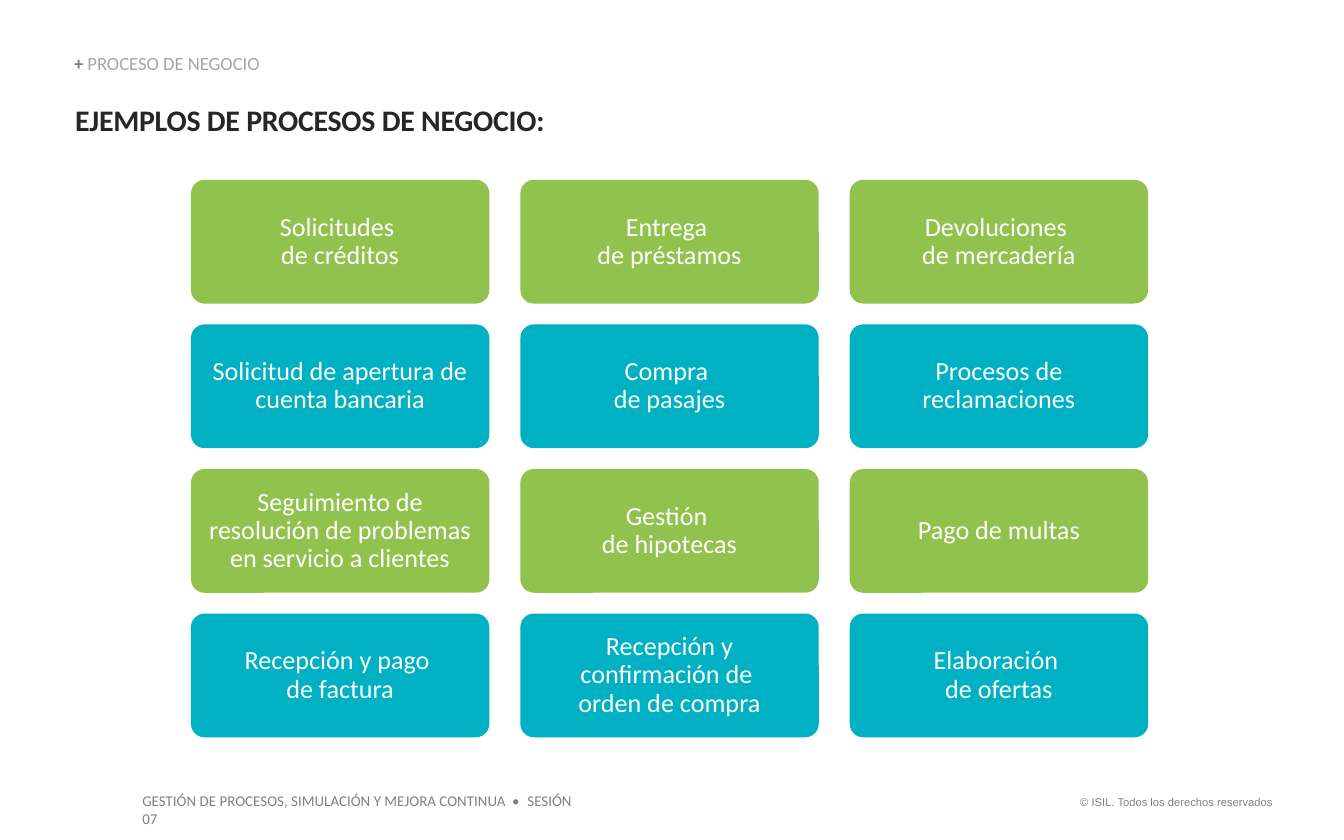
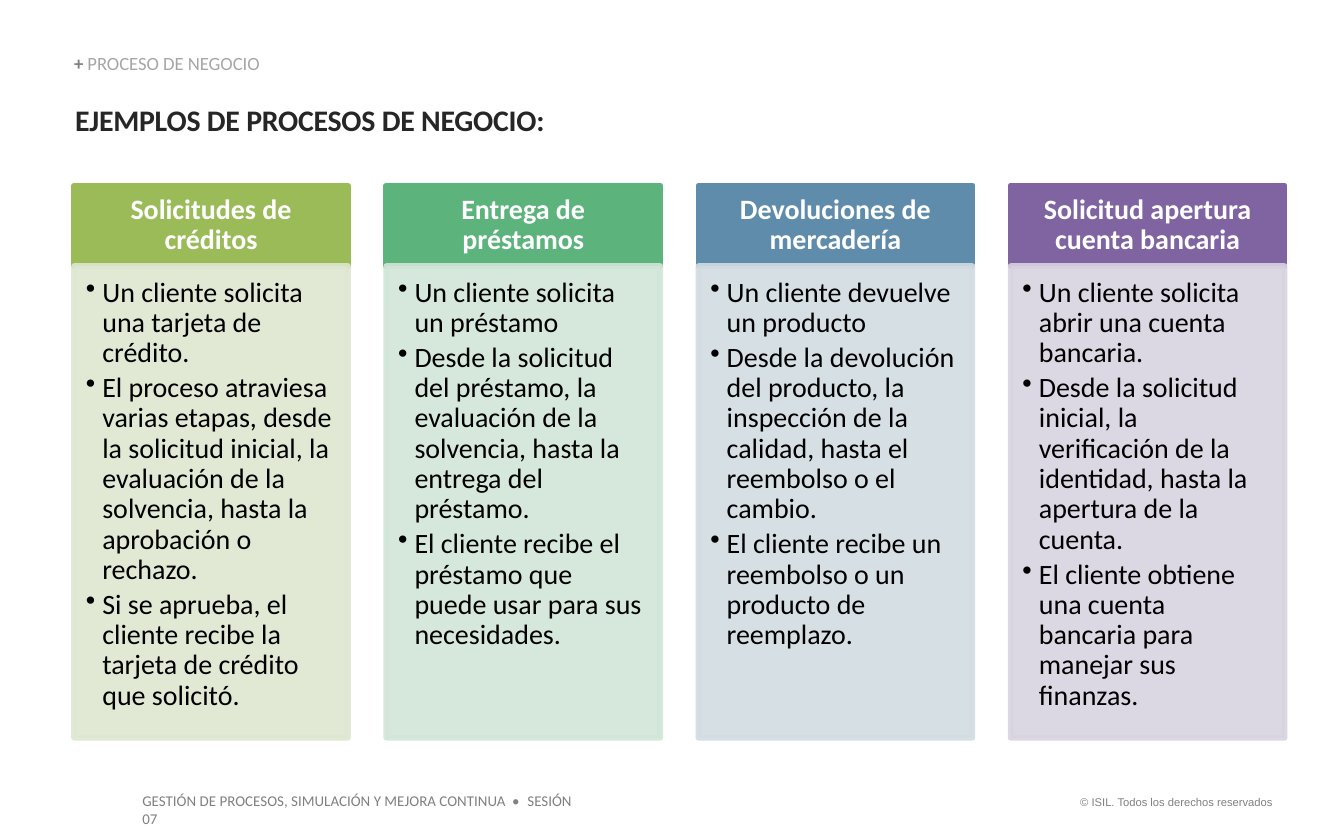
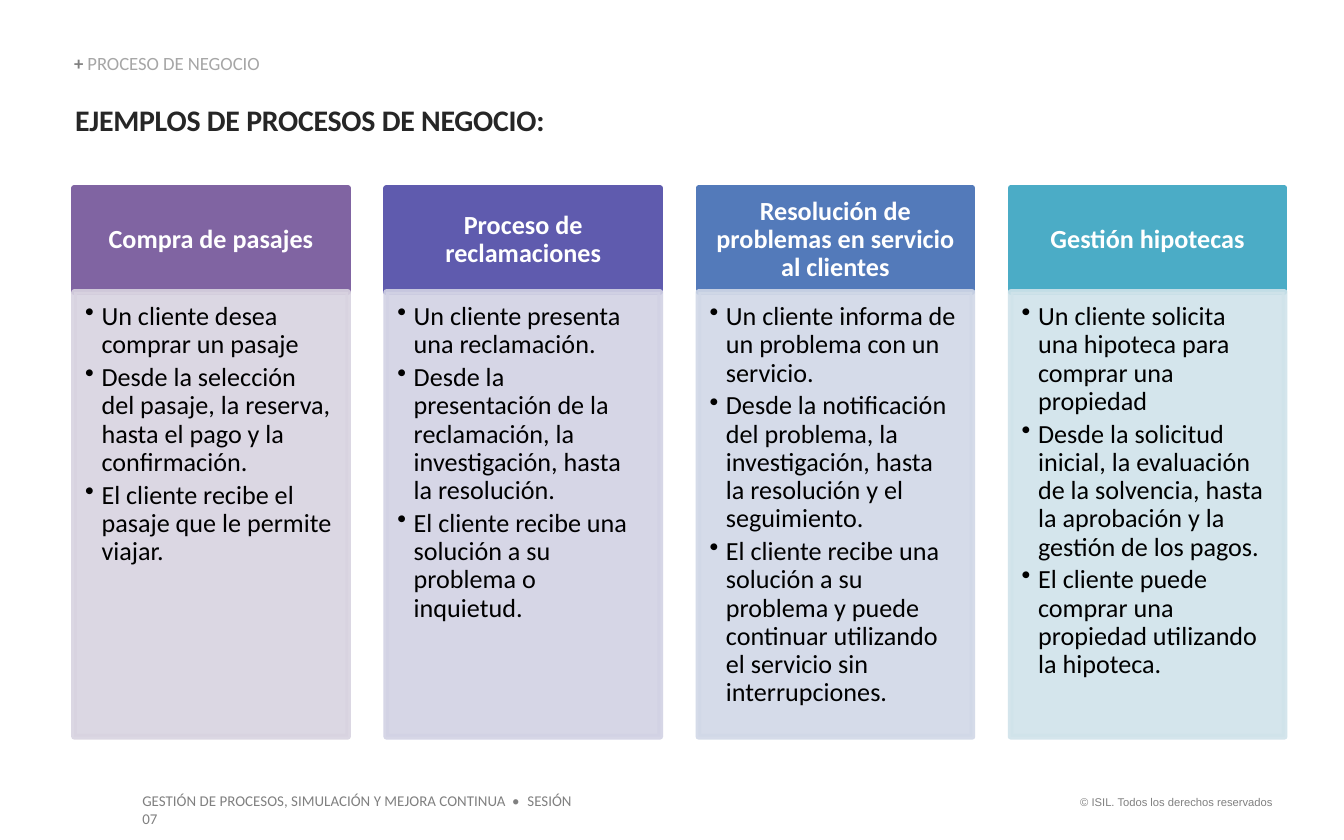
from dataclasses import dataclass

from lxml import etree
from pptx import Presentation
from pptx import util as u
from pptx.dml.color import RGBColor
from pptx.enum import shapes, text
from pptx.oxml.ns import qn


# Colours, fonts and type sizes
@dataclass(frozen=True)
class Theme:
    font: str = "Calibri"
    legal: str = "Arial"
    white: str = "FFFFFF"
    black: str = "000000"
    dark: str = "262626"
    grey: str = "808080"
    pale: str = "A6A6A6"
    green: str = "92C24E"
    teal: str = "00B1C3"
    title: int = 16
    card: int = 14
    crumb: int = 10
    foot: int = 8
    small: int = 6


T = Theme()
ALIGN = text.PP_ALIGN
ANCHOR = text.MSO_ANCHOR
MARK = "•"


# Shared helpers
def frame(shape, pads=(0, 0, 0, 0), anchor=ANCHOR.TOP):
    """Set wrapping, anchor and insets (left, top, right, bottom in cm)."""
    tf = shape.text_frame
    tf.word_wrap = True
    tf.vertical_anchor = anchor
    (tf.margin_left, tf.margin_top,
     tf.margin_right, tf.margin_bottom) = map(u.Cm, pads)
    return tf


def label(slide, box, pads=(0, 0, 0, 0), anchor=ANCHOR.TOP):
    return frame(slide.shapes.add_textbox(*map(u.Cm, box)), pads, anchor)


def panel(slide, kind, box, fill, line=None, alpha=None):
    shape = slide.shapes.add_shape(kind, *map(u.Cm, box))
    shape.shadow.inherit = False
    shape.fill.solid()
    shape.fill.fore_color.rgb = RGBColor.from_string(fill)
    if line:
        shape.line.color.rgb = RGBColor.from_string(fill)
        shape.line.width = u.Pt(line)
    else:
        shape.line.fill.background()
    if alpha:
        for tint in shape._element.spPr.iter(qn("a:srgbClr")):
            etree.SubElement(tint, qn("a:alpha"), val=str(alpha * 1000))
    return shape


def add_run(para, words, size, color, bold=False, font=T.font, track=None):
    run = para.add_run()
    run.text = words
    run.font.name = font
    run.font.size = u.Pt(size)
    run.font.bold = bold
    run.font.color.rgb = RGBColor.from_string(color)
    if track:
        run.font._element.set("spc", str(track))


def add_lines(para, words, size, color):
    """Add one run per line, with sized breaks between them."""
    for i, part in enumerate(words.split("\n")):
        if i:
            para.add_line_break()
            etree.SubElement(para._p[-1], qn("a:rPr"), sz=str(size * 100))
        add_run(para, part, size, color)


def bullet(para, indent):
    props = para._p.get_or_add_pPr()
    props.set("marL", str(u.Cm(indent)))
    props.set("indent", str(-u.Cm(indent)))
    etree.SubElement(props, qn("a:buChar"), char=MARK)


# Heading and footer found on every slide
def base(deck):
    slide = deck.slides.add_slide(deck.slide_layouts[6])
    pads = (0.25, 0.13, 0.25, 0.13)

    para = label(slide, (20, 14.91, 4.3, 0.5), pads).paragraphs[0]
    para.alignment = ALIGN.RIGHT
    add_run(para, "© ISIL. Todos los derechos reservados",
            T.small, T.grey, font=T.legal)

    para = label(slide, (2.44, 14.83, 8.9, 0.6), pads).paragraphs[0]
    add_run(para, "GESTIÓN DE PROCESOS, SIMULACIÓN Y MEJORA CONTINUA",
            T.foot, T.grey)
    add_run(para, f" {MARK} ", T.foot, T.grey, track=120)
    add_run(para, "SESIÓN 07", T.foot, T.grey)

    para = label(slide, (1.4, 1.04, 6.76, 0.38),
                 anchor=ANCHOR.BOTTOM).paragraphs[0]
    para.line_spacing = 0.9
    add_run(para, "+ ", T.crumb, T.grey, bold=True)
    add_run(para, "PROCESO DE NEGOCIO", T.crumb, T.pale)

    para = label(slide, (1.42, 1.93, 22.5, 0.69)).paragraphs[0]
    add_run(para, "EJEMPLOS DE PROCESOS DE NEGOCIO:",
            T.title, T.dark, bold=True, track=-10)
    return slide


# Grid of rounded cards, one colour per row in turn
def card_grid(slide, box, rows):
    left, top, width, height = box
    wide, tall = 5.64, 2.34
    step_x = (width - wide) / (len(rows[0]) - 1)
    step_y = (height - tall) / (len(rows) - 1)
    for r, row in enumerate(rows):
        for c, words in enumerate(row):
            card = panel(slide, shapes.MSO_SHAPE.ROUNDED_RECTANGLE,
                         (left + c * step_x, top + r * step_y, wide, tall),
                         (T.green, T.teal)[r % 2])
            card.adjustments[0] = 0.11
            para = frame(card, (0.25, 0.13, 0.25, 0.13),
                         ANCHOR.MIDDLE).paragraphs[0]
            para.alignment = ALIGN.CENTER
            para.line_spacing = 0.9
            add_lines(para, words, T.card, T.white)


# One column: coloured head over a pale list
def column(slide, box, head, size, item):
    left, top, wide, tall = box
    name, fill, tint, points = item
    pad = size * 0.02
    rect = shapes.MSO_SHAPE.RECTANGLE

    shape = panel(slide, rect, (left, top, wide, head), fill, 3)
    para = frame(shape, (pad, pad * 0.6, pad, pad * 0.6),
                 ANCHOR.MIDDLE).paragraphs[0]
    para.alignment = ALIGN.CENTER
    para.line_spacing = 0.9
    add_run(para, name, size, T.white, bold=True)

    shape = panel(slide, rect, (left, top + head, wide, tall - head),
                  tint, 3, alpha=90)
    tf = frame(shape, (pad * 0.75, pad * 0.75, pad, pad * 1.1))
    for i, point in enumerate(points):
        para = tf.add_paragraph() if i else tf.paragraphs[0]
        bullet(para, 0.31)
        para.alignment = ALIGN.LEFT
        para.line_spacing = 0.9
        para.space_after = u.Pt(round(size * 0.17, 1))
        add_run(para, point, size, T.black)


def column_row(slide, box, head, size, items):
    left, top, width, tall = box
    wide = 5.18
    step = (width - wide) / (len(items) - 1)
    for i, item in enumerate(items):
        column(slide, (left + i * step, top, wide, tall), head, size, item)


# Content
CARDS = [
    ["Solicitudes \nde créditos", "Entrega \nde préstamos",
     "Devoluciones \nde mercadería"],
    ["Solicitud de apertura de cuenta bancaria", "Compra \nde pasajes",
     "Procesos de reclamaciones"],
    ["Seguimiento de resolución de problemas en servicio a clientes",
     "Gestión \nde hipotecas", "Pago de multas"],
    ["Recepción y pago \nde factura",
     "Recepción y confirmación de \norden de compra",
     "Elaboración \nde ofertas"],
]

# Each entry: name, head colour, list colour, points
BANKING = [
    ("Solicitudes de créditos", "9BBB59", "DEE7D1", [
        "Un cliente solicita una tarjeta de crédito.",
        "El proceso atraviesa varias etapas, desde la solicitud inicial, "
        "la evaluación de la solvencia, hasta la aprobación o rechazo.",
        "Si se aprueba, el cliente recibe la tarjeta de crédito que "
        "solicitó."]),
    ("Entrega de préstamos", "5CB37C", "D2E5D9", [
        "Un cliente solicita un préstamo",
        "Desde la solicitud del préstamo, la evaluación de la solvencia, "
        "hasta la entrega del préstamo.",
        "El cliente recibe el préstamo que puede usar para sus "
        "necesidades."]),
    ("Devoluciones de mercadería", "608CAB", "D2DCE2", [
        "Un cliente devuelve un producto",
        "Desde la devolución del producto, la inspección de la calidad, "
        "hasta el reembolso o el cambio.",
        "El cliente recibe un reembolso o un producto de reemplazo."]),
    ("Solicitud apertura cuenta bancaria", "8064A2", "D8D3E0", [
        "Un cliente solicita abrir una cuenta bancaria.",
        "Desde la solicitud inicial, la verificación de la identidad, "
        "hasta la apertura de la cuenta.",
        "El cliente obtiene una cuenta bancaria para manejar sus "
        "finanzas."]),
]

SERVICE = [
    ("Compra de pasajes", "8064A2", "D8D3E0", [
        "Un cliente desea comprar un pasaje",
        "Desde la selección del pasaje, la reserva, hasta el pago y la "
        "confirmación.",
        "El cliente recibe el pasaje que le permite viajar."]),
    ("Proceso de reclamaciones", "5F5BAE", "D2D2E4", [
        "Un cliente presenta una reclamación.",
        "Desde la presentación de la reclamación, la investigación, hasta "
        "la resolución.",
        "El cliente recibe una solución a su problema o inquietud."]),
    ("Resolución de problemas en servicio al clientes", "537ABA", "D1D8E7", [
        "Un cliente informa de un problema con un servicio.",
        "Desde la notificación del problema, la investigación, hasta la "
        "resolución y el seguimiento.",
        "El cliente recibe una solución a su problema y puede continuar "
        "utilizando el servicio sin interrupciones."]),
    ("Gestión hipotecas", "4BACC6", "D0E3EA", [
        "Un cliente solicita una hipoteca para comprar una propiedad",
        "Desde la solicitud inicial, la evaluación de la solvencia, hasta "
        "la aprobación y la gestión de los pagos.",
        "El cliente puede comprar una propiedad utilizando la hipoteca."]),
]


def main():
    deck = Presentation()
    deck.slide_width, deck.slide_height = u.Cm(25.4), u.Cm(15.88)
    card_grid(base(deck), (3.61, 3.4, 18.09, 10.54), CARDS)
    column_row(base(deck), (1.4, 3.51, 22.88, 10.44), 1.52, 15, BANKING)
    column_row(base(deck), (1.4, 3.56, 22.88, 10.37), 1.96, 14, SERVICE)
    deck.save("out.pptx")


if __name__ == "__main__":
    main()
